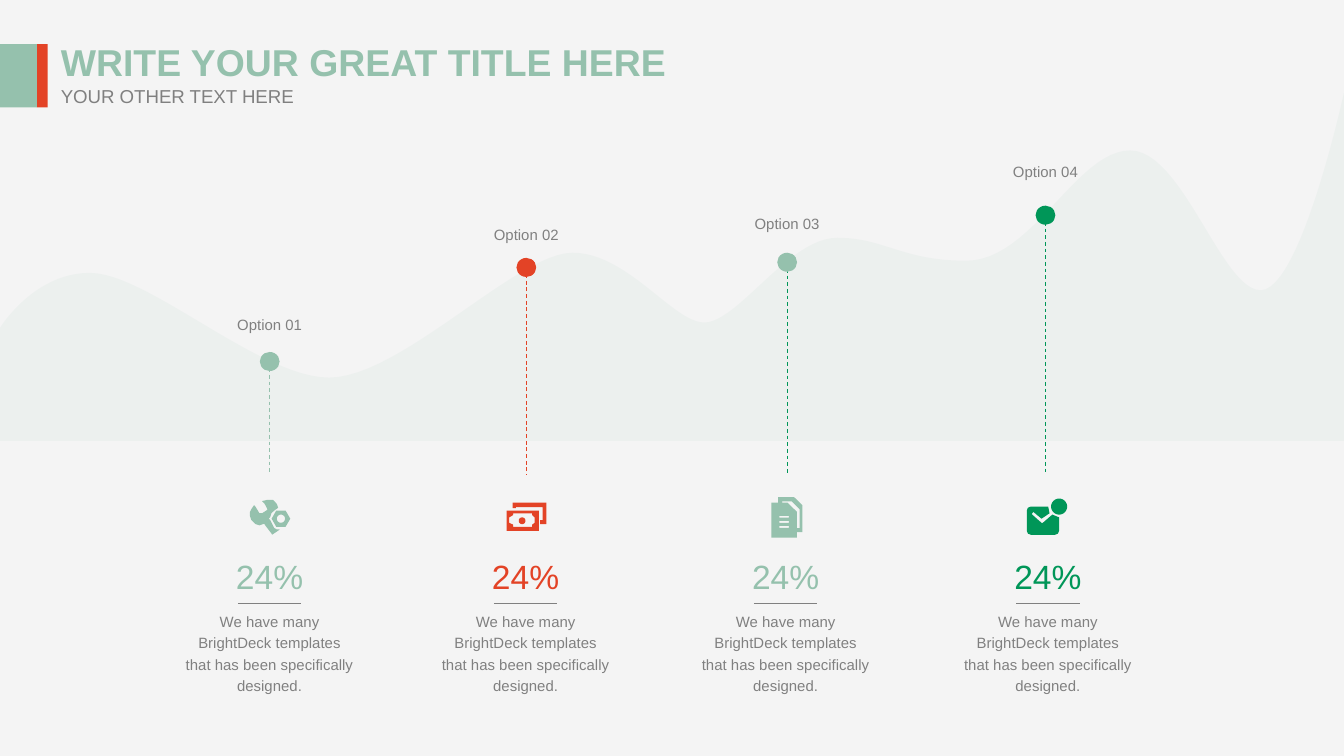
from dataclasses import dataclass
from itertools import pairwise
from math import cos, pi, sin

from pptx import Presentation
from pptx.dml.color import RGBColor
from pptx.enum.dml import MSO_LINE
from pptx.enum.shapes import MSO_CONNECTOR, MSO_SHAPE
from pptx.enum.text import MSO_ANCHOR, MSO_AUTO_SIZE, PP_ALIGN
from pptx.oxml.ns import qn
from pptx.util import Pt
from lxml import etree

DASH = MSO_LINE.DASH
LINE = MSO_CONNECTOR.STRAIGHT
OVAL, RECT = MSO_SHAPE.OVAL, MSO_SHAPE.RECTANGLE
TOP = MSO_ANCHOR.TOP
FIXED = MSO_AUTO_SIZE.NONE
LEFT, MID = PP_ALIGN.LEFT, PP_ALIGN.CENTER


@dataclass(frozen=True)
class Theme:
    back: str = "F4F4F4"
    wave: str = "AFD1C2"
    mint: str = "95C1AD"
    red: str = "E34326"
    green: str = "009658"
    grey: str = "808080"
    font: str = "Arial"
    title: float = 20
    sub: float = 10
    figure: float = 18
    small: float = 8


THEME = Theme()
BODY = "We have many BrightDeck templates that has been specifically designed."

# Each knot: handle before, knot, handle after, height.
KNOTS = [
    (0, 0, 0, 175.7), (18, 48.2, 79.2, 146.2), (139, 176.4, 214.6, 202.3),
    (277.2, 306.7, 336.2, 135.4), (360.7, 377.3, 395.3, 172.8),
    (422.6, 448.6, 473.8, 127.4), (483.1, 517.7, 553, 139.7),
    (576.7, 605.5, 633.6, 80.6), (654.5, 675.4, 697, 155.5),
    (720, 720, 720, 49.7),
]


def ring(x, y, r, count=32):
    turns = [2 * pi * i / count for i in range(count)]
    return [(x + r * cos(a), y + r * sin(a)) for a in turns]


def box(x, y, w, h):
    return [(x, y), (x + w, y), (x + w, y + h), (x, y + h)]


WRENCH = [
    [[(15.8, 17.3), (12.6, 19.4), (12.2, 18.7), (8.6, 14), (8.4, 13.5),
      (5.8, 14.4), (3.6, 13.7), (1.4, 11.5), (0.7, 9.4), (0.7, 7.2),
      (1.4, 5.8), (2.9, 3.6), (3.6, 4.3), (5.8, 7.9), (7.2, 7.9),
      (9.4, 6.5), (10.1, 5.8), (8.6, 2.9), (7.2, 1.4), (10.1, 0.7),
      (13, 0.7), (15.1, 2.9), (15.8, 5), (13.7, 6.5), (12.2, 7.9),
      (11.5, 10.1), (10.8, 10.8), (11.5, 11.5), (13.7, 15.8),
      (15.1, 16.6), (16.6, 16.6)]],
    [ring(17.3, 10.8, 5, 6), ring(17.3, 10.8, 2.2)],
]
MONEY = [
    [[(3.2, 0), (21.4, 0), (21.4, 11.5), (18, 11.5), (18, 9.4), (19.4, 9.4),
      (19.4, 2.4), (5, 2.4), (5, 2.9), (3.2, 2.9)]],
    [box(0, 4.3, 17.3, 10.8),
     [(3.6, 5.8), (13.7, 5.8), (13.7, 6.6), (15.1, 7.9), (15.1, 10.8),
      (13.7, 11.8), (13.7, 13), (3.6, 13), (3.6, 11.8), (1.4, 10.8),
      (1.4, 7.9), (3.6, 6.6)]],
    [ring(8.3, 9.7, 1.8)],
]
PAPERS = [
    [[(12.2, 0), (16.6, 4.3), (16.6, 18.7), (13.7, 18.7), (13.7, 21.6),
      (0, 21.6), (0, 2.9), (3.6, 2.9), (3.6, 0)],
     [(15.1, 16.6), (13.7, 16.6), (13.7, 7.9), (8.6, 2.9), (5.8, 2.9),
      (5.8, 2.2), (10.8, 2.2), (15.1, 6.5)],
     *[box(4.3, 10 + 2.7 * i, 5.1, 1) for i in range(3)]],
]
MAIL = [
    [[(2.2, 4.3), (11.5, 4.3), (12.2, 7.9), (7.9, 10.8), (3.6, 7.2),
      (2.9, 7.9), (2.9, 8.6), (7.9, 13), (8.6, 13), (13.7, 8.6),
      (17.3, 10.1), (17.3, 17.3), (16.7, 18.8), (15.1, 19.4), (2.2, 19.4),
      (0.6, 18.8), (0, 17.3), (0, 6.5), (0.6, 4.9)]],
    [ring(17.3, 4.3, 4.3)],
]

# Axis, text centre, dot top, label top, dot colour, stem colour, icon, place.
STEPS = [
    (144.5, 144.4, 188.6, 165.6, THEME.mint, THEME.mint, WRENCH, (133.2, 267.1)),
    (282, 281.6, 138.2, 117.4, THEME.red, THEME.red, MONEY, (271.4, 269.3)),
    (421.7, 420.9, 135.4, 111.6, THEME.mint, THEME.green, PAPERS, (413.3, 266.4)),
    (560.1, 561.4, 110.2, 83.5, THEME.green, THEME.green, MAIL, (550.1, 267.1)),
]


def paint(shape, color):
    shape.shadow.inherit = False
    shape.fill.solid()
    shape.fill.fore_color.rgb = RGBColor.from_string(color)
    shape.line.fill.background()


def form(slide, kind, place, color):
    paint(slide.shapes.add_shape(kind, *map(Pt, place)), color)


def outline(slide, loops, color, dx=0, dy=0):
    loops = [[(Pt(x + dx), Pt(y + dy)) for x, y in loop] for loop in loops]
    pen = slide.shapes.build_freeform(*loops[0][0], scale=1.0)
    for i, loop in enumerate(loops):
        if i:
            pen.move_to(*loop[0])
        pen.add_line_segments(loop[1:], close=True)
    shape = pen.convert_to_shape()
    paint(shape, color)
    return shape


def rule(slide, start, end, color, dash=None):
    line = slide.shapes.add_connector(LINE, *map(Pt, start + end))
    line.line.width = Pt(0.5)
    line.line.color.rgb = RGBColor.from_string(color)
    if dash:
        line.line.dash_style = dash
    etree.SubElement(line.element.spPr, qn("a:effectLst"))


def text(slide, words, place, size, color=THEME.grey, bold=False, align=MID,
         wrap=False, inset=(7.2, 3.6), space=1.0, holder=None):
    shape = holder or slide.shapes.add_textbox(0, 0, 0, 0)
    shape.left, shape.top, shape.width, shape.height = map(Pt, place)
    frame = shape.text_frame
    frame.auto_size, frame.word_wrap = FIXED, wrap
    frame.vertical_anchor = TOP
    frame.margin_left = frame.margin_right = Pt(inset[0])
    frame.margin_top = frame.margin_bottom = Pt(inset[1])
    para = frame.paragraphs[0]
    para.alignment, para.line_spacing = align, space
    para.space_before = Pt(0)
    run = para.add_run()
    run.text = words
    font = run.font
    font.name, font.size, font.bold = THEME.font, Pt(size), bold
    font.color.rgb = RGBColor.from_string(color)


def wave(slide):
    spots = [(0, KNOTS[0][3])]
    for (_, x0, x1, y0), (x2, x3, _, y1) in pairwise(KNOTS):
        for i in range(1, 25):
            t = i / 24
            u = 1 - t
            a, b, c, d = u**3, 3 * u * u * t, 3 * u * t * t, t**3
            spots.append((a * x0 + b * x1 + c * x2 + d * x3,
                          (a + b) * y0 + (c + d) * y1))
    shape = outline(slide, [spots + [(720, 236.2), (0, 236.2)]], THEME.wave)
    tint = shape.element.spPr.find(qn("a:solidFill"))[0]
    etree.SubElement(tint, qn("a:alpha")).set("val", "10000")


def head(slide):
    title, sub = slide.placeholders
    text(slide, "WRITE YOUR GREAT TITLE HERE", (25.4, 17.3, 340.6, 31),
         THEME.title, THEME.mint, bold=True, align=LEFT, holder=title)
    text(slide, "YOUR OTHER TEXT HERE", (25.4, 41.8, 139.7, 19.4),
         THEME.sub, align=LEFT, holder=sub)
    form(slide, RECT, (19.8, 23.6, 5.7, 34), THEME.red)
    form(slide, RECT, (0, 23.6, 19.8, 34), THEME.mint)


def step(slide, name, axis, mid, dot, label, color, stem, icon, place):
    rule(slide, (axis, dot + 5.1), (axis, 254.2), stem, DASH)
    form(slide, OVAL, (axis - 5.3, dot, 10.6, 10.2), color)
    text(slide, name, (axis - 24.8, label, 49.6, 16.6), THEME.small)
    for part in icon:
        outline(slide, part, color, *place)
    text(slide, "24%", (mid - 25.2, 294.5, 50.4, 28.8), THEME.figure, color)
    rule(slide, (mid - 17, 323.3), (mid + 17, 323.3), THEME.grey)
    text(slide, BODY, (mid - 45.4, 326.2, 90.8, 46), THEME.small,
         wrap=True, inset=(0, 0), space=1.2)


def main():
    deck = Presentation()
    deck.slide_width, deck.slide_height = Pt(720), Pt(405)
    slide = deck.slides.add_slide(deck.slide_layouts[0])
    fill = slide.background.fill
    fill.solid()
    fill.fore_color.rgb = RGBColor.from_string(THEME.back)
    wave(slide)
    for i, item in enumerate(STEPS, 1):
        step(slide, f"Option {i:02}", *item)
    head(slide)
    deck.save("out.pptx")


if __name__ == "__main__":
    main()
